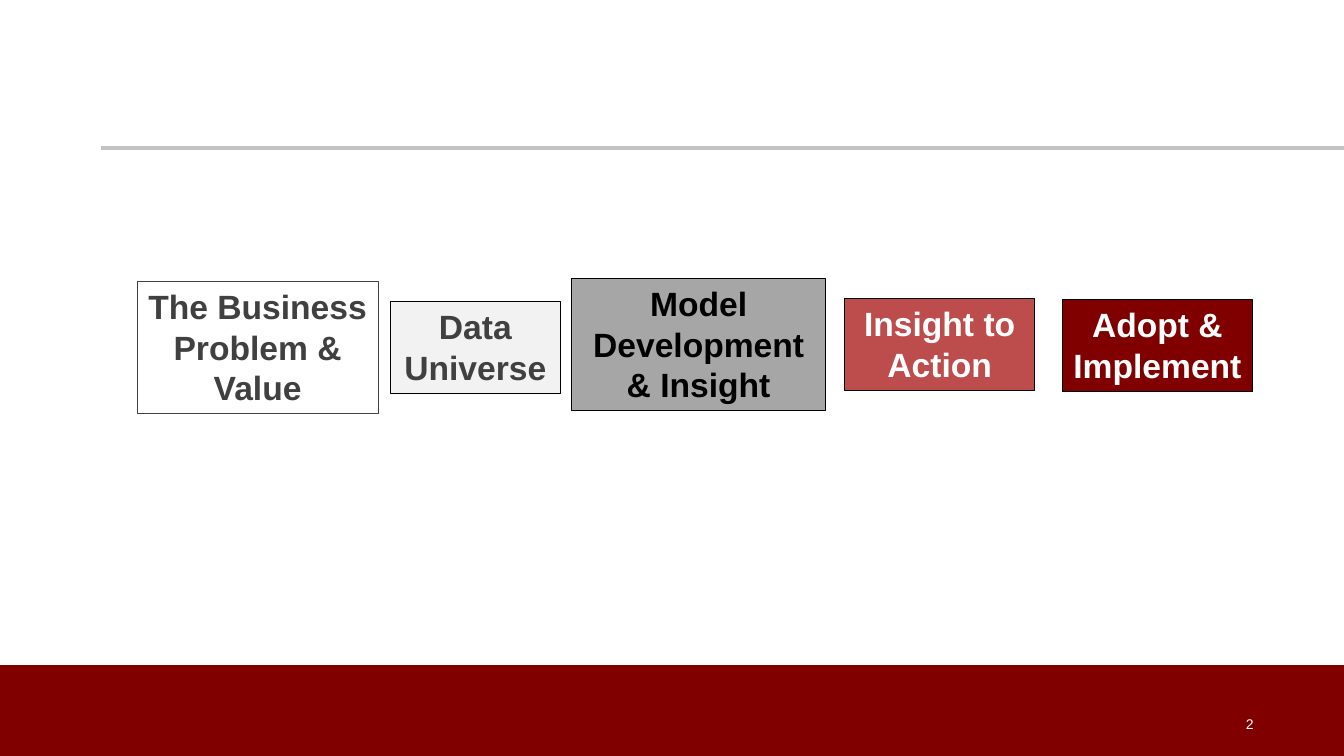
import pptx
import pptx.util
import pptx.dml.color
import pptx.enum.shapes
import pptx.enum.text
import pptx.oxml.ns
import lxml.etree

Pt = pptx.util.Pt
RGB = pptx.dml.color.RGBColor.from_string
RECT = pptx.enum.shapes.MSO_SHAPE.RECTANGLE
ALIGN = pptx.enum.text.PP_ALIGN
ANCHOR = pptx.enum.text.MSO_ANCHOR
FIT = pptx.enum.text.MSO_AUTO_SIZE
qn = pptx.oxml.ns.qn

THEME = {
    "font": "Arial", "step": 24, "page": 10, "edge": 0.75, "rule": 3,
    "maroon": "800000", "red": "A10000", "white": "FFFFFF", "black": "000000",
    "dark": "404040", "pale": "F2F2F2", "grey": "A6A6A6", "silver": "C2C4C2",
}

deck = pptx.Presentation()
deck.slide_width = pptx.util.Inches(13.33)
deck.slide_height = pptx.util.Inches(7.5)
slide = deck.slides.add_slide(deck.slide_layouts[6])
shapes = slide.shapes


def place(x, y, w=0, h=0):
    """Turn percent shares of the slide into lengths."""
    wide, high = deck.slide_width / 100, deck.slide_height / 100
    return [round(n) for n in (x * wide, y * high, w * wide, h * high)]


def write(shape, text, size, color, bold, align, frame):
    """Fill a shape with one formatted paragraph."""
    body = shape.text_frame
    for key, val in frame.items():
        setattr(body, key, val)
    para = body.paragraphs[0]
    para.text, para.alignment = text, align
    look = {"name": THEME["font"], "size": Pt(THEME[size]), "bold": bold}
    for key, val in look.items():
        setattr(para.runs[0].font, key, val)
    para.runs[0].font.color.rgb = RGB(THEME[color])


# Footer band
band = shapes.add_shape(RECT, *place(0, 88, 100, 12))
band.shadow.inherit = False
band.fill.solid()
band.fill.fore_color.rgb = RGB(THEME["maroon"])
band.line.fill.background()

# Title rule
left, top, _, _ = place(7.5, 19.6)
rule = shapes.add_connector(pptx.enum.shapes.MSO_CONNECTOR.STRAIGHT,
                            left, top, deck.slide_width, top)
rule.line.color.rgb = RGB(THEME["silver"])
rule.line.width = Pt(THEME["rule"])
lxml.etree.SubElement(rule._element.spPr, qn("a:effectLst"))

# Page number
page = shapes.add_textbox(*place(70.67, 93.07, 23.33, 5.33))
write(page, "2", "page", "white", False, ALIGN.RIGHT,
      {"word_wrap": True, "vertical_anchor": ANCHOR.MIDDLE})

# Process steps: text, left, width, middle, lines, fill, edge, ink, opacity
STEPS = [
    ("The Business Problem & Value", 10.2, 17.93, 45.93, 3, "white", "dark", "dark", 100),
    ("Data Universe", 29.03, 12.68, 45.93, 2, "pale", "black", "dark", 100),
    ("Model Development & Insight", 42.53, 18.9, 45.53, 3, "grey", "black", "black", 100),
    ("Insight to Action", 62.87, 14.1, 45.53, 2, "red", "black", "white", 70),
    ("Adopt & Implement", 79.07, 14.1, 45.67, 2, "maroon", "black", "white", 100),
]
PAD, LINE = 1.45, 5.34  # box height = padding + lines of text
for text, x, wide, mid, rows, fill, edge, ink, alpha in STEPS:
    high = PAD + rows * LINE
    box = shapes.add_shape(RECT, *place(x, mid - high / 2, wide, high))
    box.shadow.inherit = False
    box.fill.solid()
    box.fill.fore_color.rgb = RGB(THEME[fill])
    box.line.color.rgb = RGB(THEME[edge])
    box.line.width = Pt(THEME["edge"])
    if alpha < 100:
        tint = box._element.spPr.find(qn("a:solidFill"))[0]
        lxml.etree.SubElement(tint, qn("a:alpha"), val=str(alpha * 1000))
    write(box, text, "step", ink, True, ALIGN.CENTER,
          {"word_wrap": True, "vertical_anchor": ANCHOR.TOP,
           "auto_size": FIT.SHAPE_TO_FIT_TEXT})

deck.save("out.pptx")
